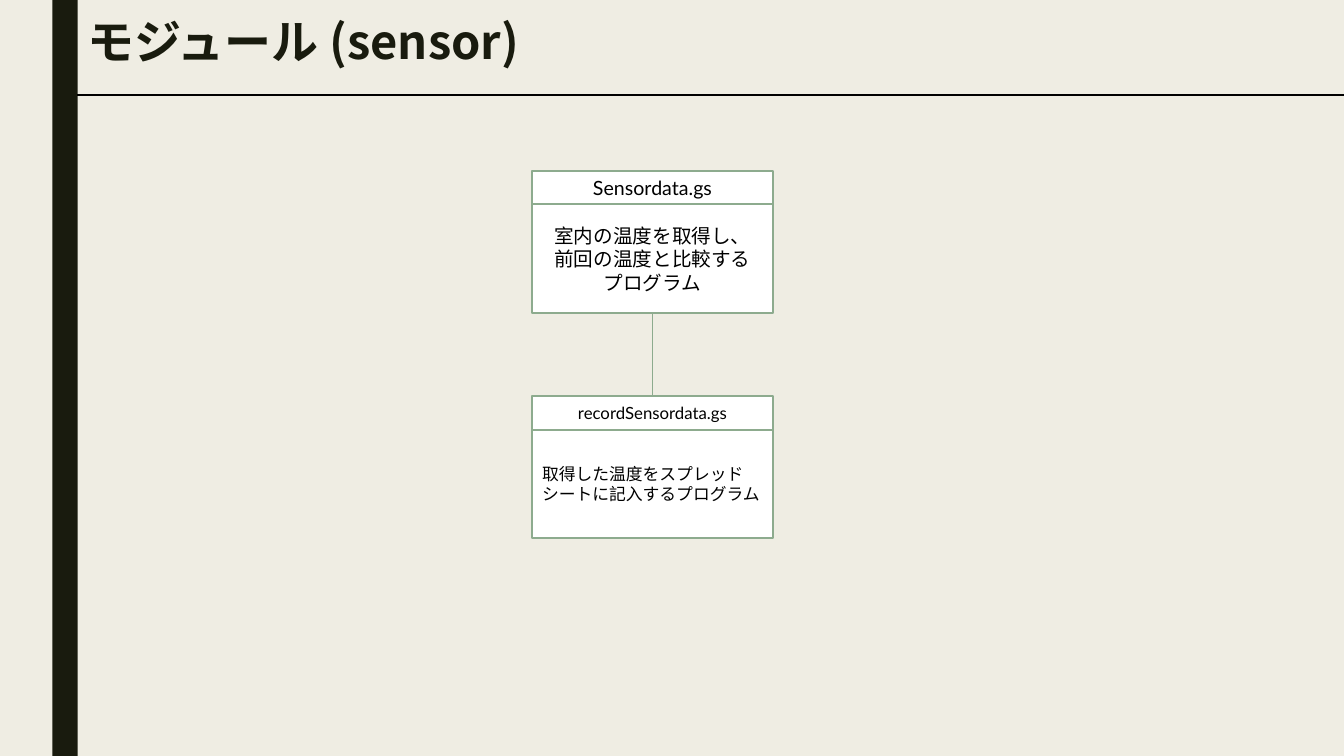
"""Builds the slide that shows the sensor modules."""
import pptx
import pptx.dml.color
import pptx.enum.shapes
import pptx.enum.text
import pptx.oxml
import pptx.oxml.ns
import pptx.util

Cm = pptx.util.Cm
Pt = pptx.util.Pt
RGB = pptx.dml.color.RGBColor
ALIGN = pptx.enum.text.PP_ALIGN
ANCHOR = pptx.enum.text.MSO_ANCHOR
RECT = pptx.enum.shapes.MSO_SHAPE.RECTANGLE
STRAIGHT = pptx.enum.shapes.MSO_CONNECTOR.STRAIGHT

CREAM = RGB(0xEF, 0xED, 0xE3)
DARK = RGB(0x19, 0x1B, 0x0E)
GREEN = RGB(0x8D, 0xAB, 0x8E)
WHITE = RGB(0xFF, 0xFF, 0xFF)
BLACK = RGB(0x00, 0x00, 0x00)
LATIN = "Lato"
ASIAN = "Noto Sans CJK JP"


class Deck:
    """Holds the style and the current slide."""

    def __init__(self):
        self.file = pptx.Presentation()
        self.file.slide_width = Cm(33.87)
        self.file.slide_height = Cm(19.05)
        self.slide = self.file.slides.add_slide(self.file.slide_layouts[5])
        fill = self.slide.background.fill
        fill.solid()
        fill.fore_color.rgb = CREAM

    def style(self, frame, font, size, color, align, bold=False):
        for para in frame.paragraphs:
            para.alignment = align
            for run in para.runs:
                run.font.name = font
                run.font.size = Pt(size)
                run.font.bold = bold
                run.font.color.rgb = color
                asian = pptx.oxml.parse_xml(
                    f'<a:ea {pptx.oxml.ns.nsdecls("a")} typeface="{ASIAN}"/>')
                run.font._element.find(pptx.oxml.ns.qn("a:latin")).addnext(asian)

    def title(self, text, left, top, width, height):
        shape = self.slide.shapes.title
        shape.left, shape.top = Cm(left), Cm(top)
        shape.width, shape.height = Cm(width), Cm(height)
        frame = shape.text_frame
        frame.text = text
        frame.word_wrap = False
        frame.auto_size = pptx.enum.text.MSO_AUTO_SIZE.NONE
        frame.vertical_anchor = ANCHOR.TOP
        frame.margin_top = 0
        frame.paragraphs[0].line_spacing = 0.89
        self.style(frame, ASIAN, 33.6, DARK, ALIGN.LEFT, True)

    def rect(self, home, left, top, width, height, color, edge=None):
        shape = home.shapes.add_shape(
            RECT, Cm(left), Cm(top), Cm(width), Cm(height))
        shape.shadow.inherit = False
        shape.fill.solid()
        shape.fill.fore_color.rgb = color
        if edge is None:
            shape.line.fill.background()
        else:
            shape.line.color.rgb = edge
            shape.line.width = Pt(1.5)
        return shape

    def module(self, top, name, text, size, align):
        group = self.slide.shapes.add_group_shape()
        left, width, head, body = 13.41, 6.07, 0.85, 2.74
        parts = []
        for y, height, words, side in ((top, head, name, ALIGN.CENTER),
                                       (top + head, body, text, align)):
            shape = self.rect(group, left, y, width, height, WHITE, GREEN)
            frame = shape.text_frame
            frame.text = words
            frame.word_wrap = True
            frame.vertical_anchor = ANCHOR.MIDDLE
            self.style(frame, LATIN, size, BLACK, side)
            parts.append(shape)
        return parts

    def line(self, start, end, color, width):
        link = self.slide.shapes.add_connector(
            STRAIGHT, *(Cm(n) for n in start + end))
        link.line.color.rgb = color
        link.line.width = Pt(width)
        link._element.spPr.append(pptx.oxml.parse_xml(
            f'<a:effectLst {pptx.oxml.ns.nsdecls("a")}/>'))
        return link

    def join(self, upper, lower):
        link = self.line((16.44, 7.9), (16.44, 9.98), GREEN, 1)
        link.begin_connect(upper, 2)
        link.end_connect(lower, 0)


def main():
    deck = Deck()
    deck.rect(deck.slide, 1.32, 0, 0.64, 19.05, DARK)
    deck.line((1.94, 2.4), (33.87, 2.4), BLACK, 1.5)
    deck.title("モジュール (sensor)", 1.94, 0.48, 12.45, 2.13)
    sensor = deck.module(
        4.3, "Sensordata.gs",
        "室内の温度を取得し、\v前回の温度と比較する\vプログラム", 14, ALIGN.CENTER)
    record = deck.module(
        9.98, "recordSensordata.gs",
        "取得した温度をスプレッドシートに記入するプログラム", 12, ALIGN.LEFT)
    deck.join(sensor[1], record[0])
    deck.file.save("out.pptx")


if __name__ == "__main__":
    main()
